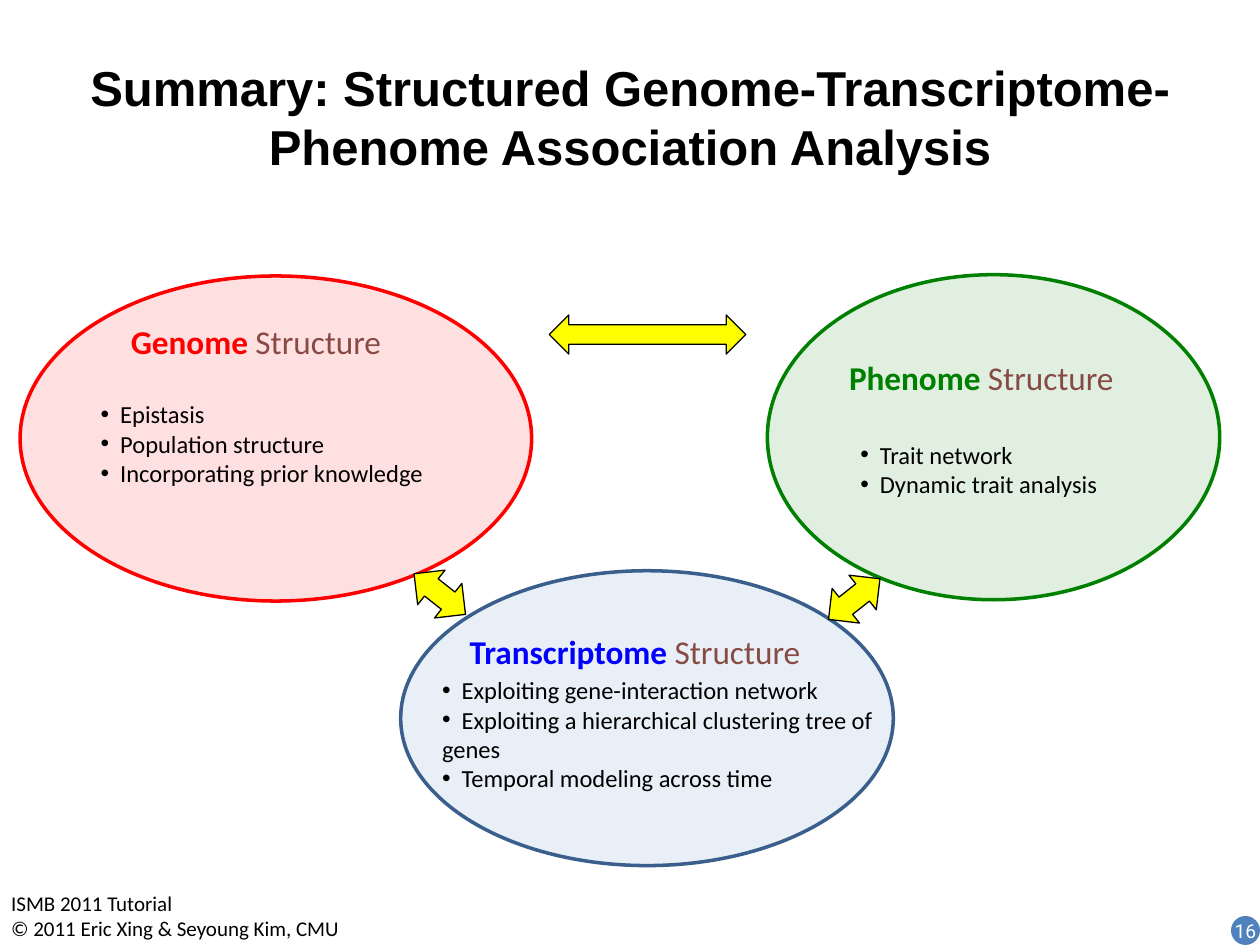
import pptx
import pptx.util
import pptx.dml.color
import pptx.enum.shapes
import pptx.enum.text
import pptx.oxml
import pptx.oxml.ns
import lxml.etree

Pt = pptx.util.Pt
SHAPE = pptx.enum.shapes.MSO_SHAPE
ALIGN = pptx.enum.text.PP_ALIGN
ANCHOR = pptx.enum.text.MSO_ANCHOR
AUTO = pptx.enum.text.MSO_AUTO_SIZE
qn = pptx.oxml.ns.qn

COLORS = {
    "text": "000000", "structure": "884A44", "arrow": "FFFF00",
    "genome": "FF0000", "phenome": "008000", "transcriptome": "0000FF",
    "blue": "4F81BD", "blue_edge": "3A5F8C", "white": "FFFFFF",
}

prs = pptx.Presentation()
prs.slide_width = pptx.util.Inches(10)
prs.slide_height = pptx.util.Inches(7.5)
COL = prs.slide_width / 100
ROW = prs.slide_height / 75


def rgb(name):
    return pptx.dml.color.RGBColor.from_string(COLORS[name])


def place(box):
    x, y, w, h = box
    return int(x * COL), int(y * ROW), int(w * COL), int(h * ROW)


def add_run(p, text, size, color, font="Calibri", bold=False):
    r = p.add_run()
    r.text = text
    r.font.size = Pt(size)
    r.font.name = font
    r.font.bold = bold
    r.font.color.rgb = rgb(color)


def paragraphs(tf, count):
    return [tf.paragraphs[0]] + [tf.add_paragraph() for _ in range(count - 1)]


def add_text_box(s, box, wrap=True):
    tf = s.shapes.add_textbox(*place(box)).text_frame
    tf.word_wrap = wrap
    return tf


def add_shape(s, kind, box, fill, line=None, width=0, alpha=None):
    sp = s.shapes.add_shape(kind, *place(box))
    sp.shadow.inherit = False
    sp.fill.solid()
    sp.fill.fore_color.rgb = rgb(fill)
    if alpha is not None:
        clr = sp.fill._xPr.find(qn("a:solidFill"))[0]
        lxml.etree.SubElement(clr, qn("a:alpha"), val=str(alpha * 1000))
    if line:
        sp.line.color.rgb = rgb(line)
        sp.line.width = Pt(width)
    else:
        sp.line.fill.background()
    return sp


def add_bullet(p):
    pPr = p._p.get_or_add_pPr()
    pPr.set("marL", "0")
    pPr.set("indent", "0")
    lxml.etree.SubElement(pPr, qn("a:buFont"), typeface="Arial")
    lxml.etree.SubElement(pPr, qn("a:buChar"), char="•")
    tabs = lxml.etree.SubElement(pPr, qn("a:tabLst"))
    lxml.etree.SubElement(tabs, qn("a:tab"), pos=str(int(1.55 * COL)), algn="l")


def add_title(s, box, text):
    sp = s.shapes.title
    sp.left, sp.top, sp.width, sp.height = place(box)
    tf = sp.text_frame
    tf.auto_size = AUTO.NONE
    tf.vertical_anchor = ANCHOR.MIDDLE
    p = tf.paragraphs[0]
    p.alignment = ALIGN.CENTER
    add_run(p, text, 28, "text", "Arial", True)


def add_structure(s, box, name, color, fill, edge, heading, bullets, items):
    add_shape(s, SHAPE.OVAL, box, fill, edge, 2, alpha=12)
    x, y = box[:2]
    dx, dy, w = heading
    p = add_text_box(s, (x + dx, y + dy, w, 4.2)).paragraphs[0]
    add_run(p, name, 19, color, bold=True)
    add_run(p, " Structure", 19, "structure")
    dx, dy, w = bullets
    tf = add_text_box(s, (x + dx, y + dy, w, 1 + 2.35 * len(items)))
    for p, item in zip(paragraphs(tf, len(items)), items):
        add_bullet(p)
        add_run(p, "\t" + item, 14, "text")


def add_arrow(s, box, rotation):
    sp = add_shape(s, SHAPE.LEFT_RIGHT_ARROW, box, "arrow", "text")
    sp.rotation = rotation


def add_footer(s, box, lines):
    tf = add_text_box(s, box, wrap=False)
    for p, line in zip(paragraphs(tf, len(lines)), lines):
        add_run(p, line, 12, "text")


def add_page_number(s, box, number):
    sp = add_shape(s, SHAPE.OVAL, box, "blue")
    tf = sp.text_frame
    tf.margin_left = tf.margin_right = tf.margin_top = tf.margin_bottom = 0
    tf.word_wrap = False
    tf.vertical_anchor = ANCHOR.MIDDLE
    p = tf.paragraphs[0]
    p.alignment = ALIGN.CENTER
    add_run(p, number, 11, "white", "Roboto")


def main():
    s = prs.slides.add_slide(prs.slide_layouts[5])
    add_footer(s, (-0.1, 70.2, 28.4, 5),
               ["ISMB 2011 Tutorial", "© 2011 Eric Xing & Seyoung Kim, CMU"])
    add_page_number(s, (97.7, 72.7, 2.3, 2.3), "16")
    add_title(s, (5, 3, 90, 12.5),
              "Summary: Structured Genome-Transcriptome-Phenome Association Analysis")
    add_structure(s, (31.8, 45.3, 39.1, 23.4), "Transcriptome", "transcriptome",
                  "blue", "blue_edge", (4.5, 4.3, 34.4), (2.3, 7.8, 39.5),
                  ["Exploiting gene-interaction network",
                   "Exploiting a hierarchical clustering tree of genes",
                   "Temporal modeling across time"])
    add_structure(s, (60.9, 21.8, 35.9, 25.8), "Phenome", "phenome",
                  "phenome", "phenome", (5.5, 6.1, 27.3), (6.4, 12.6, 22.7),
                  ["Trait network", "Dynamic trait analysis"])
    add_structure(s, (1.6, 21.9, 40.6, 25.8), "Genome", "genome",
                  "genome", "genome", (7.8, 3.1, 34.4), (5.4, 9.3, 31.2),
                  ["Epistasis", "Population structure",
                   "Incorporating prior knowledge"])
    add_arrow(s, (43.6, 25, 15.6, 3.1), 0)
    add_arrow(s, (65.2, 45.8, 5.2, 3.5), -38.3)
    add_arrow(s, (32.3, 45.4, 5.2, 3.5), 38.3)
    prs.save("out.pptx")


if __name__ == "__main__":
    main()
